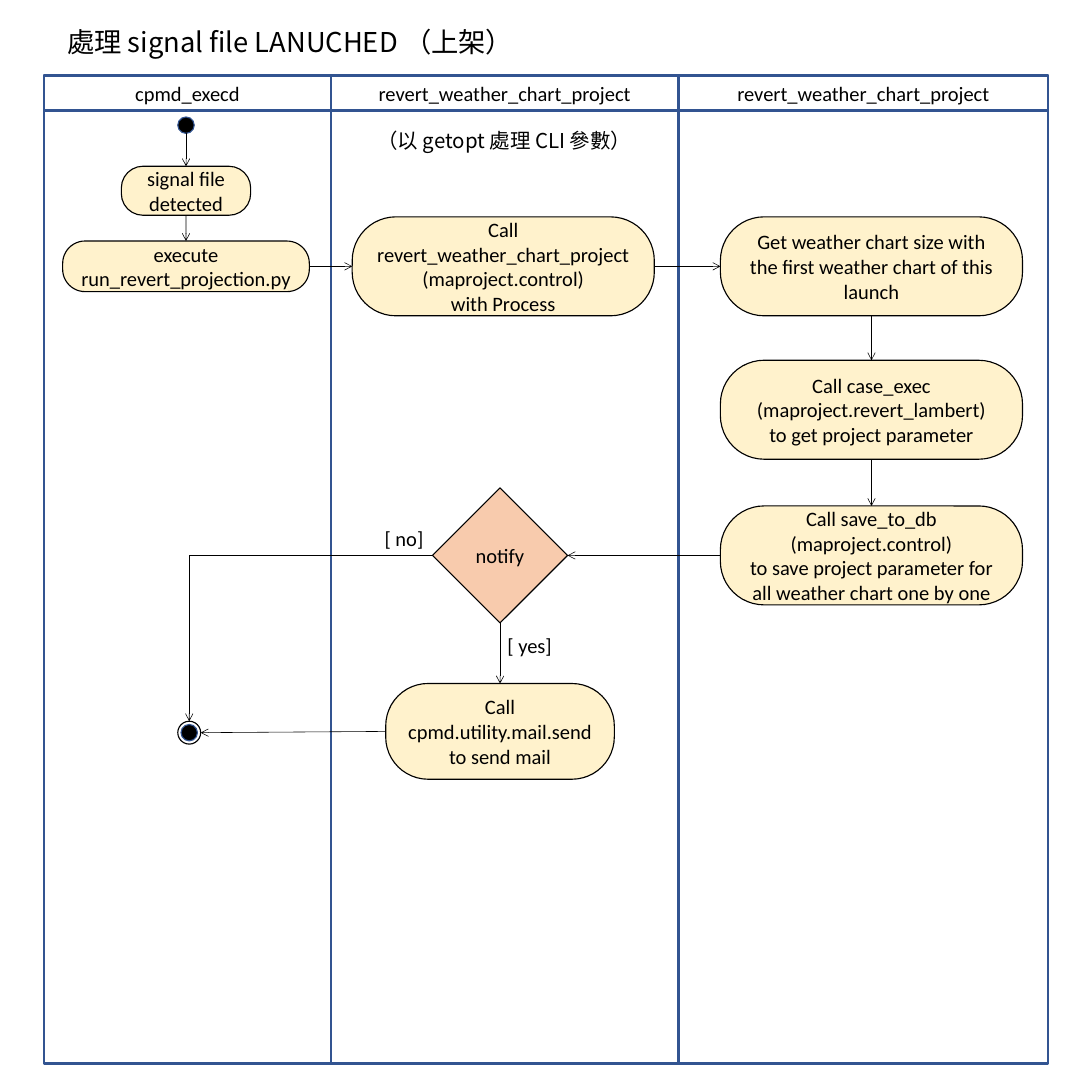
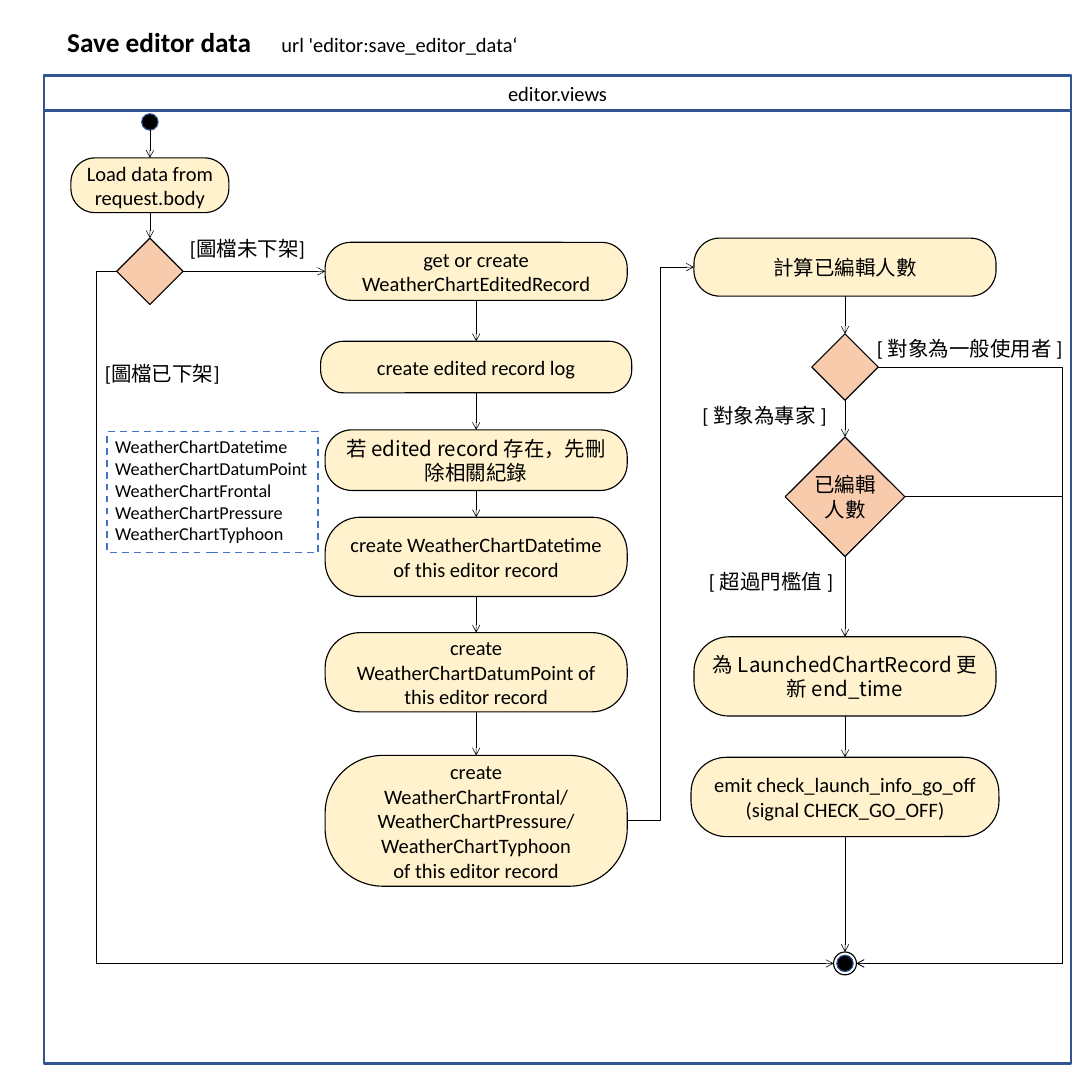
import pptx
import pptx.util
import pptx.dml.color
import pptx.enum.dml
import pptx.enum.shapes
import pptx.enum.text
import pptx.oxml.ns
from lxml import etree

Cm, Pt = pptx.util.Cm, pptx.util.Pt
SHAPE = pptx.enum.shapes.MSO_SHAPE
CONNECTOR = pptx.enum.shapes.MSO_CONNECTOR
ALIGN = pptx.enum.text.PP_ALIGN
ANCHOR = pptx.enum.text.MSO_ANCHOR
qn = pptx.oxml.ns.qn

# Shared look
COLORS = {"ink": "000000", "lane": "325491", "step": "FFF2CC",
          "choice": "F8CBAD", "list": "4472C4"}
RGB = {name: pptx.dml.color.RGBColor.from_string(value) for name, value in COLORS.items()}
LATIN, CJK = "Calibri", "Noto Sans CJK TC"
LANE_TOP, LANE_HEIGHT, HEADER_HEIGHT = 2.34, 30.66, 1.09
DOT, RING = 0.51, 0.71
# kind: preset, fill, line, line width, text size, alignment, anchor, wrap
KINDS = {
    "lane": (SHAPE.RECTANGLE, None, "lane", 2, 18, ALIGN.CENTER, ANCHOR.MIDDLE, True),
    "step": (SHAPE.ROUNDED_RECTANGLE, "step", "ink", 1, 18, ALIGN.CENTER, ANCHOR.MIDDLE, True),
    "choice": (SHAPE.DIAMOND, "choice", "ink", 1, 18, ALIGN.CENTER, ANCHOR.MIDDLE, False),
    "dot": (SHAPE.OVAL, "ink", "lane", 1, 18, ALIGN.CENTER, ANCHOR.MIDDLE, True),
    "ring": (SHAPE.OVAL, None, "ink", 1, 18, ALIGN.CENTER, ANCHOR.MIDDLE, True),
    "list": (SHAPE.RECTANGLE, None, "list", 1.5, 16, ALIGN.LEFT, ANCHOR.TOP, True),
}
SIDES = {"top": (0, 0.5, 0), "left": (1, 0, 0.5), "bottom": (2, 0.5, 1), "right": (3, 1, 0.5)}

# Lanes: left, width, heading. Nodes: kind, centre x, top, width, height, text.
# Labels: left, top, width, text, size, alignment, wrap ("|" starts a new run).
# Links: from, side, to, side, bend (None, "corner" or the x of the middle leg).
SLIDES = [
    {
        "title": "處理 signal file LANUCHED （上架）", "bold": False,
        "lanes": [(1.37, 8.89, "cpmd_execd"),
                  (10.26, 10.79, "revert_weather_chart_project"),
                  (21.05, 11.46, "revert_weather_chart_project")],
        "nodes": {
            "start": ("dot", 5.77, 3.63, DOT, DOT, ""),
            "detected": ("step", 5.77, 5.16, 4.01, 1.52, "signal file detected"),
            "execute": ("step", 5.77, 7.48, 7.65, 1.57, "execute\nrun_revert_projection.py"),
            "process": ("step", 15.61, 6.73, 9.37, 3.07,
                        "Call revert_weather_chart_project\n(maproject.control)\nwith Process"),
            "size": ("step", 27.03, 6.73, 9.37, 3.07,
                     "Get weather chart size with the first weather chart of this launch"),
            "case": ("step", 27.03, 11.18, 9.37, 3.07,
                     "Call case_exec\n(maproject.revert_lambert)\nto get project parameter"),
            "save": ("step", 27.03, 15.7, 9.37, 3.07,
                     "Call save_to_db\n(maproject.control)\n"
                     "to save project parameter for all weather chart one by one"),
            "notify": ("choice", 15.51, 15.14, 4.19, 4.19, "notify"),
            "mail": ("step", 15.51, 21.21, 7.09, 2.97,
                     "Call\ncpmd.utility.mail.send\nto send mail"),
            "end dot": ("dot", 5.87, 22.48, DOT, DOT, ""),
            "end": ("ring", 5.87, 22.38, RING, RING, ""),
        },
        "labels": [
            (10.26, 3.84, 10.77, "（以 getopt 處理 CLI 參數）", 18, ALIGN.CENTER, True),
            (11.68, 16.21, 1.73, "[ no]", 18, ALIGN.LEFT, False),
            (15.49, 19.53, 1.9, "[ yes]", 18, ALIGN.LEFT, False),
        ],
        "links": [
            ("start", "bottom", "detected", "top", None),
            ("detected", "bottom", "execute", "top", None),
            ("execute", "right", "process", "left", None),
            ("process", "right", "size", "left", None),
            ("size", "bottom", "case", "top", None),
            ("case", "bottom", "save", "top", None),
            ("save", "left", "notify", "right", None),
            ("notify", "left", "end", "top", "corner"),
            ("notify", "bottom", "mail", "top", None),
            ("mail", "left", "end", "right", None),
        ],
    },
    {
        "title": "Save editor data", "bold": True,
        "lanes": [(1.37, 31.85, "editor.views")],
        "nodes": {
            "start": ("dot", 4.65, 3.53, DOT, DOT, ""),
            "load": ("step", 4.65, 4.9, 4.9, 1.7, "Load data from request.body"),
            "chart state": ("choice", 4.65, 7.39, 2.06, 2.06, ""),
            "record": ("step", 14.77, 7.52, 9.37, 1.8, "get or create\nWeatherChartEditedRecord"),
            "log": ("step", 14.77, 10.59, 9.65, 1.6, "create edited record log"),
            "delete": ("step", 14.77, 13.34, 9.37, 1.88, "若 edited record 存在，先刪除相關紀錄"),
            "datetime": ("step", 14.77, 16.05, 9.37, 2.46,
                         "create WeatherChartDatetime of this editor record"),
            "datum": ("step", 14.77, 19.63, 9.37, 2.46,
                      "create WeatherChartDatumPoint of this editor record"),
            "frontal": ("step", 14.77, 23.44, 9.37, 4.06,
                        "create\nWeatherChartFrontal/\nWeatherChartPressure/\n"
                        "WeatherChartTyphoon\nof this editor record"),
            "count": ("step", 26.21, 7.39, 9.37, 1.8, "計算已編輯人數"),
            "user": ("choice", 26.21, 10.36, 2.06, 2.06, ""),
            "editors": ("choice", 26.21, 13.56, 3.71, 3.71, "已編輯\n人數"),
            "launched": ("step", 26.21, 19.76, 9.37, 2.46, "為 LaunchedChartRecord 更新 end_time"),
            "emit": ("step", 26.21, 23.5, 9.55, 2.46,
                     "emit check_launch_info_go_off\n(signal CHECK_GO_OFF)"),
            "end dot": ("dot", 26.21, 29.64, DOT, DOT, ""),
            "end": ("ring", 26.21, 29.54, RING, RING, ""),
            "models": ("list", 6.59, 13.39, 6.53, 3.76,
                       "WeatherChartDatetime\nWeatherChartDatumPoint\nWeatherChartFrontal\n"
                       "WeatherChartPressure\nWeatherChartTyphoon"),
        },
        "labels": [
            (8.48, 0.86, 7, "url 'editor:save_editor_data‘", 18, ALIGN.LEFT, False),
            (5.64, 7.21, 4.11, "[|圖檔未下架|]", 18, ALIGN.LEFT, True),
            (3, 11.07, 4.11, "[|圖檔已下架|]", 18, ALIGN.LEFT, True),
            (21.54, 12.37, 4.39, "[ |對象為專家 |]", 18, ALIGN.LEFT, True),
            (21.74, 17.53, 4.6, "[ |超過門檻值 |]", 18, ALIGN.LEFT, True),
            (26.95, 10.29, 6.32, "[ |對象為一般使用者 |]", 18, ALIGN.LEFT, True),
        ],
        "links": [
            ("start", "bottom", "load", "top", None),
            ("load", "bottom", "chart state", "top", None),
            ("chart state", "right", "record", "left", None),
            ("chart state", "left", "end", "left", 2.97),
            ("record", "bottom", "log", "top", None),
            ("log", "bottom", "delete", "top", None),
            ("delete", "bottom", "datetime", "top", None),
            ("datetime", "bottom", "datum", "top", None),
            ("datum", "bottom", "frontal", "top", None),
            ("frontal", "right", "count", "left", 20.47),
            ("count", "bottom", "user", "top", None),
            ("user", "bottom", "editors", "top", None),
            ("editors", "bottom", "launched", "top", None),
            ("launched", "bottom", "emit", "top", None),
            ("emit", "bottom", "end", "top", None),
            ("user", "right", "end", "right", 32.94),
            ("editors", "right", "end", "right", 32.94),
        ],
    },
]


def write_text(shape, text, size, align, anchor, wrap, bold=False):
    frame = shape.text_frame
    layout = {"word_wrap": wrap, "vertical_anchor": anchor,
              "auto_size": pptx.enum.text.MSO_AUTO_SIZE.NONE}
    for name, value in layout.items():
        setattr(frame, name, value)
    for number, line in enumerate(text.split("\n")):
        paragraph = frame.add_paragraph() if number else frame.paragraphs[0]
        paragraph.alignment = align
        for part in line.split("|"):
            run = paragraph.add_run()
            run.text = part
            face = CJK if any(ord(char) > 0x2E80 for char in part) else LATIN
            for name, value in {"size": Pt(size), "bold": bold, "name": face}.items():
                setattr(run.font, name, value)
            run.font.color.rgb = RGB["ink"]
            etree.SubElement(run.font._element, qn("a:ea"), typeface=face)


def add_node(slide, kind, left, top, width, height, text):
    preset, fill, line, weight, size, align, anchor, wrap = KINDS[kind]
    node = slide.shapes.add_shape(preset, Cm(left), Cm(top), Cm(width), Cm(height))
    node.shadow.inherit = False
    if fill:
        node.fill.solid()
        node.fill.fore_color.rgb = RGB[fill]
    else:
        node.fill.background()
    node.line.color.rgb = RGB[line]
    node.line.width = Pt(weight)
    if kind == "step":
        node.adjustments[0] = 0.442
    if kind == "list":
        node.line.dash_style = pptx.enum.dml.MSO_LINE.DASH
    if text:
        write_text(node, text, size, align, anchor, wrap)
    return node


deck = pptx.Presentation()
deck.slide_width, deck.slide_height = Cm(33.87), Cm(33.76)

for content in SLIDES:
    slide = deck.slides.add_slide(deck.slide_layouts[5])

    # Title
    title = slide.shapes.title
    place = {"left": 1.83, "top": 0.66, "width": 15, "height": 1.27}
    for name, value in place.items():
        setattr(title, name, Cm(value))
    write_text(title, content["title"], 24, ALIGN.LEFT, ANCHOR.TOP, False, content["bold"])

    # Swimlanes
    for left, width, heading in content["lanes"]:
        add_node(slide, "lane", left, LANE_TOP, width, LANE_HEIGHT, "")
        add_node(slide, "lane", left, LANE_TOP, width, HEADER_HEIGHT, heading)

    # Steps, choices, start and end
    nodes = {}
    for name, (kind, centre, top, width, height, text) in content["nodes"].items():
        nodes[name] = add_node(slide, kind, centre - width / 2, top, width, height, text)

    # Arrows, glued to the sides of the nodes
    for source, source_side, target, target_side, bend in content["links"]:
        ends, glue = [], []
        for name, side in ((source, source_side), (target, target_side)):
            node = nodes[name]
            site, across, down = SIDES[side]
            ends += [round(node.left + across * node.width), round(node.top + down * node.height)]
            is_round = node.auto_shape_type == SHAPE.OVAL
            glue.append((node.shape_id, site * 2 if is_round else site))
        route = CONNECTOR.ELBOW if bend else CONNECTOR.STRAIGHT
        arrow = slide.shapes.add_connector(route, *ends)
        arrow.line.color.rgb = RGB["ink"]
        arrow.line.width = Pt(0.5)
        etree.SubElement(arrow.line._get_or_add_ln(), qn("a:tailEnd"), type="arrow")
        properties = arrow._element.spPr
        etree.SubElement(properties, qn("a:effectLst"))
        joints = arrow._element.find(".//" + qn("p:cNvCxnSpPr"))
        for tag, (shape_id, site) in zip(("a:stCxn", "a:endCxn"), glue):
            etree.SubElement(joints, qn(tag), id=str(shape_id), idx=str(site))
        geometry = properties.find(qn("a:prstGeom"))
        if bend == "corner":
            geometry.set("prst", "bentConnector2")
        elif bend:
            share = round(100000 * (Cm(bend) - ends[0]) / (ends[2] - ends[0]))
            guides = geometry.find(qn("a:avLst"))
            etree.SubElement(guides, qn("a:gd"), name="adj1", fmla=f"val {share}")

    # Labels
    for left, top, width, text, size, align, wrap in content["labels"]:
        label = slide.shapes.add_textbox(Cm(left), Cm(top), Cm(width), Cm(1.02))
        write_text(label, text, size, align, ANCHOR.TOP, wrap)

deck.save("out.pptx")
